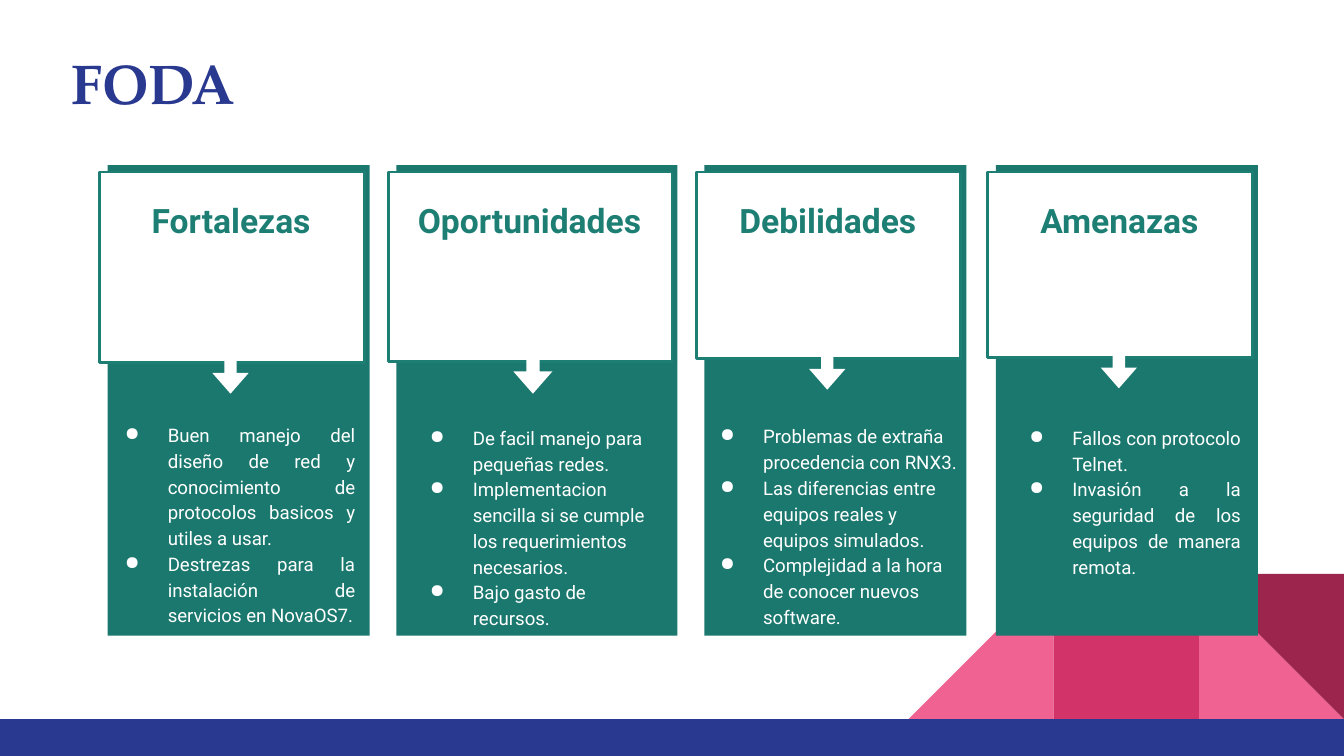
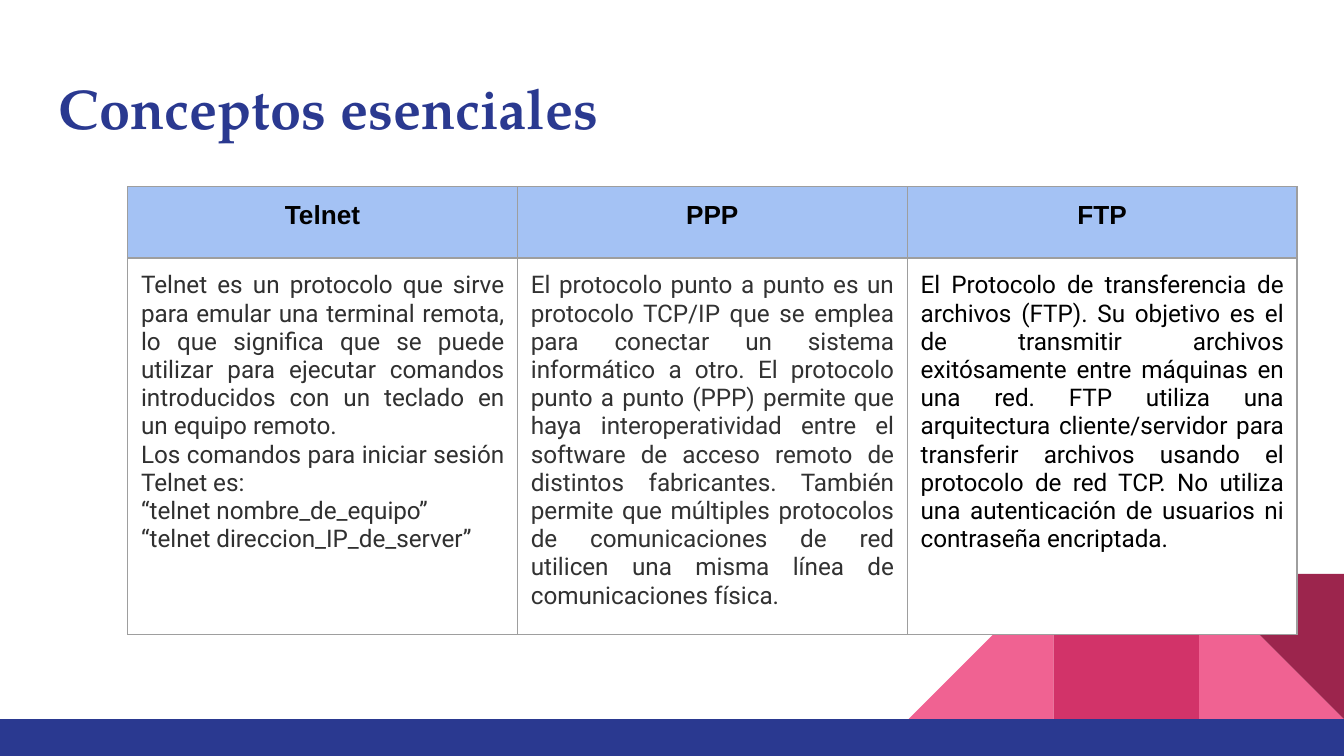
from dataclasses import dataclass

from lxml import etree
from pptx import Presentation
from pptx import util as u
from pptx.dml.color import RGBColor
from pptx.enum import shapes, text
from pptx.oxml import ns

SHAPE = shapes.MSO_SHAPE
ALIGN = text.PP_ALIGN


@dataclass(frozen=True)
class Theme:
    navy: str = "2A3990"
    pink: str = "F06292"
    rose: str = "D23369"
    wine: str = "9C254D"
    panel: str = "1B786E"
    teal: str = "1D7E74"
    sky: str = "A4C2F4"
    grid: str = "9E9E9E"
    white: str = "FFFFFF"
    black: str = "000000"
    title_font: str = "TeX Gyre Pagella"
    body_font: str = "Roboto"
    table_font: str = "Arial"
    title_size: int = 30
    heading_size: int = 18
    bullet_size: int = 10
    column_size: int = 14
    cell_size: int = 13


class Deck:
    """Holds the theme and the slide, or group, being drawn on."""

    def __init__(self, theme):
        self.theme = theme
        self.prs = Presentation()
        self.prs.slide_width = u.Inches(10)
        self.prs.slide_height = u.Inches(5.625)

    def slide(self, title, box):
        blank = self.prs.slide_layouts[6]
        self.page = self.prs.slides.add_slide(blank).shapes
        self.canvas = self.page
        self.backdrop()
        t = self.theme
        self.text(box, [title], t.title_font, t.title_size, t.navy, bold=True)

    def group(self):
        self.canvas = self.page.add_group_shape().shapes

    def backdrop(self):
        """Pink corner pattern and navy footer band."""
        t = self.theme
        self.group()
        side, top = 1.08, 4.27
        tiles = [
            (8.92, SHAPE.RIGHT_TRIANGLE, t.pink, 0),
            (6.76, SHAPE.RIGHT_TRIANGLE, t.pink, 270),
            (7.84, SHAPE.RECTANGLE, t.rose, 0),
            (8.92, SHAPE.RIGHT_TRIANGLE, t.wine, 180),
        ]
        for left, kind, color, turn in tiles:
            self.shape((left, top, side, side), color, kind, turn)
        self.shape((0, 5.35, 10, 0.28), t.navy)
        self.canvas = self.page

    def shape(self, box, fill, kind=SHAPE.RECTANGLE, turn=0, line=None):
        shape = self.canvas.add_shape(kind, *map(u.Inches, box))
        shape.shadow.inherit = False
        shape.rotation = turn
        shape.fill.solid()
        shape.fill.fore_color.rgb = RGBColor.from_string(fill)
        if line:
            shape.line.color.rgb = RGBColor.from_string(line)
            shape.line.width = u.Pt(1.5)
        else:
            shape.line.fill.background()
        return shape

    def text(self, box, lines, font, size, color, **style):
        frame = self.canvas.add_textbox(*map(u.Inches, box)).text_frame
        frame.word_wrap = True
        self.inset(frame)
        self.fill_text(frame, lines, font, size, color, **style)
        return frame

    def inset(self, holder):
        holder.margin_left = holder.margin_right = u.Inches(0.1)
        holder.margin_top = holder.margin_bottom = u.Inches(0.1)

    def fill_text(self, frame, lines, font, size, color, align=ALIGN.LEFT, bold=False):
        frame.text = "\n".join(lines)
        for paragraph in frame.paragraphs:
            paragraph.alignment = align
            paragraph.font.name = font
            paragraph.font.size = u.Pt(size)
            paragraph.font.bold = bold
            paragraph.font.color.rgb = RGBColor.from_string(color)

    def bullets(self, box, lines, align):
        t = self.theme
        frame = self.text(box, lines, t.body_font, t.bullet_size, t.white, align=align)
        for paragraph in frame.paragraphs:
            paragraph.line_spacing = 1.15
            props = paragraph._p.get_or_add_pPr()
            props.set("marL", str(u.Inches(0.5)))
            props.set("indent", str(u.Inches(-0.32)))
            # Bullet colour and character go before the font defaults
            color = etree.Element(ns.qn("a:buClr"))
            etree.SubElement(color, ns.qn("a:srgbClr"), val=t.white)
            mark = etree.Element(ns.qn("a:buChar"), char="●")
            defaults = props.find(ns.qn("a:defRPr"))
            defaults.addprevious(color)
            defaults.addprevious(mark)

    def card(self, heading, left, width, header_height, arrow, notes, lines, align):
        """Teal panel with a white header, an arrow and a bullet list."""
        t = self.theme
        self.group()
        top = 1.28
        self.shape((left, 1.23, width, 3.5), t.panel)
        self.shape((left - 0.06, top, width + 0.02, header_height), t.white, line=t.teal)
        self.text((left + 0.05, 1.39, width - 0.21, 0.58), [heading], t.body_font,
                  t.heading_size, t.teal, align=ALIGN.CENTER, bold=True)
        arrow_left, arrow_width = arrow
        pointer = self.shape((arrow_left, top + header_height - 0.07, 0.33, arrow_width),
                             t.white, SHAPE.RIGHT_ARROW, 90)
        pointer.adjustments[0] = 0.34
        pointer.adjustments[1] = 0.57
        self.bullets(notes, lines, align)
        self.canvas = self.page

    def table(self, left, top, column_width, row_heights, columns):
        t = self.theme
        width = column_width * len(columns)
        box = (left, top, width, sum(row_heights))
        table = self.canvas.add_table(len(row_heights), len(columns),
                                      *map(u.Inches, box)).table
        for row, height in zip(table.rows, row_heights):
            row.height = u.Inches(height)
        for index, (heading, color, lines) in enumerate(columns):
            table.columns[index].width = u.Inches(column_width)
            head, body = table.cell(0, index), table.cell(1, index)
            self.cell(head, t.sky)
            self.fill_text(head.text_frame, [heading], t.table_font, t.column_size,
                           t.black, ALIGN.CENTER, bold=True)
            self.cell(body, t.white)
            self.fill_text(body.text_frame, lines, t.body_font, t.cell_size,
                           color, ALIGN.JUSTIFY)

    def cell(self, cell, fill):
        self.inset(cell)
        cell.fill.solid()
        cell.fill.fore_color.rgb = RGBColor.from_string(fill)
        props = cell._tc.get_or_add_tcPr()
        for index, edge in enumerate(("lnL", "lnR", "lnT", "lnB")):
            line = etree.Element(ns.qn(f"a:{edge}"), w=str(u.Pt(0.75)))
            paint = etree.SubElement(line, ns.qn("a:solidFill"))
            etree.SubElement(paint, ns.qn("a:srgbClr"), val=self.theme.grid)
            props.insert(index, line)


# Heading, left, width, header height, arrow (left, width), list box, lines, alignment
SWOT = [
    ("Fortalezas", 0.8, 1.95, 1.42, (1.55, 0.27), (0.65, 3.03, 2.09, 1.36), [
        "Buen manejo del diseño de red y conocimiento de protocolos basicos y utiles a usar.",
        "Destrezas para la instalación de servicios en NovaOS7.",
    ], ALIGN.JUSTIFY),
    ("Oportunidades", 2.95, 2.09, 1.41, (3.8, 0.29), (2.92, 3.05, 2.09, 1.6), [
        "De facil manejo para pequeñas redes.",
        "Implementacion sencilla si se cumple los requerimientos necesarios.",
        "Bajo gasto de recursos.",
    ], ALIGN.LEFT),
    ("Debilidades", 5.24, 1.95, 1.39, (5.99, 0.27), (5.08, 3.04, 2.16, 1.44), [
        "Problemas de extraña procedencia con RNX3.",
        "Las diferencias entre equipos reales y equipos simulados.",
        "Complejidad a la hora de conocer nuevos software.",
    ], ALIGN.LEFT),
    ("Amenazas", 7.41, 1.95, 1.38, (8.16, 0.27), (7.38, 3.05, 1.95, 1.38), [
        "Fallos con protocolo Telnet.",
        "Invasión a la seguridad de los equipos de manera remota.",
    ], ALIGN.JUSTIFY),
]

# Heading, text colour, paragraphs
PROTOCOLS = [
    ("Telnet", "303030", [
        "Telnet es un protocolo que sirve para emular una terminal remota, lo que "
        "significa que se puede utilizar para ejecutar comandos introducidos con un "
        "teclado en un equipo remoto.",
        "Los comandos para iniciar sesión Telnet es:",
        "“telnet nombre_de_equipo”",
        "“telnet direccion_IP_de_server”",
    ]),
    ("PPP", "323232", [
        "El protocolo punto a punto es un protocolo TCP/IP que se emplea para conectar "
        "un sistema informático a otro. El protocolo punto a punto (PPP) permite que "
        "haya interoperatividad entre el software de acceso remoto de distintos "
        "fabricantes. También permite que múltiples protocolos de comunicaciones de "
        "red utilicen una misma línea de comunicaciones física.",
    ]),
    ("FTP", Theme.black, [
        "El Protocolo de transferencia de archivos (FTP). Su objetivo es el de "
        "transmitir archivos exitósamente entre máquinas en una red. FTP utiliza una "
        "arquitectura cliente/servidor para transferir archivos usando el protocolo "
        "de red TCP. No utiliza una autenticación de usuarios ni contraseña encriptada.",
    ]),
]


def main():
    deck = Deck(Theme())

    # Slide 1: SWOT cards
    deck.slide("FODA", (0.43, 0.26, 8.29, 0.5))
    for card in SWOT:
        deck.card(*card)

    # Slide 2: protocol table
    deck.slide("Conceptos esenciales", (0.34, 0.45, 9.32, 0.66))
    deck.table(0.95, 1.39, 2.9, (0.53, 2.72), PROTOCOLS)

    deck.prs.save("out.pptx")


if __name__ == "__main__":
    main()
